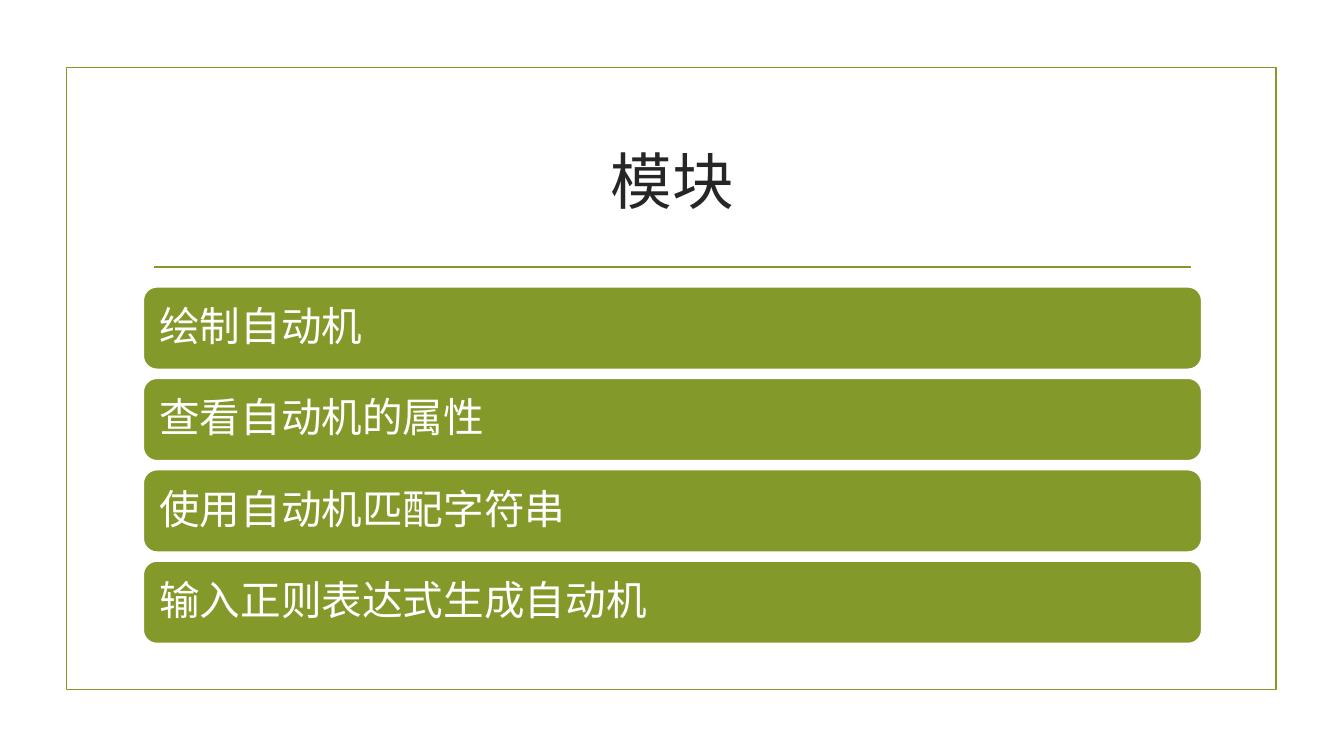
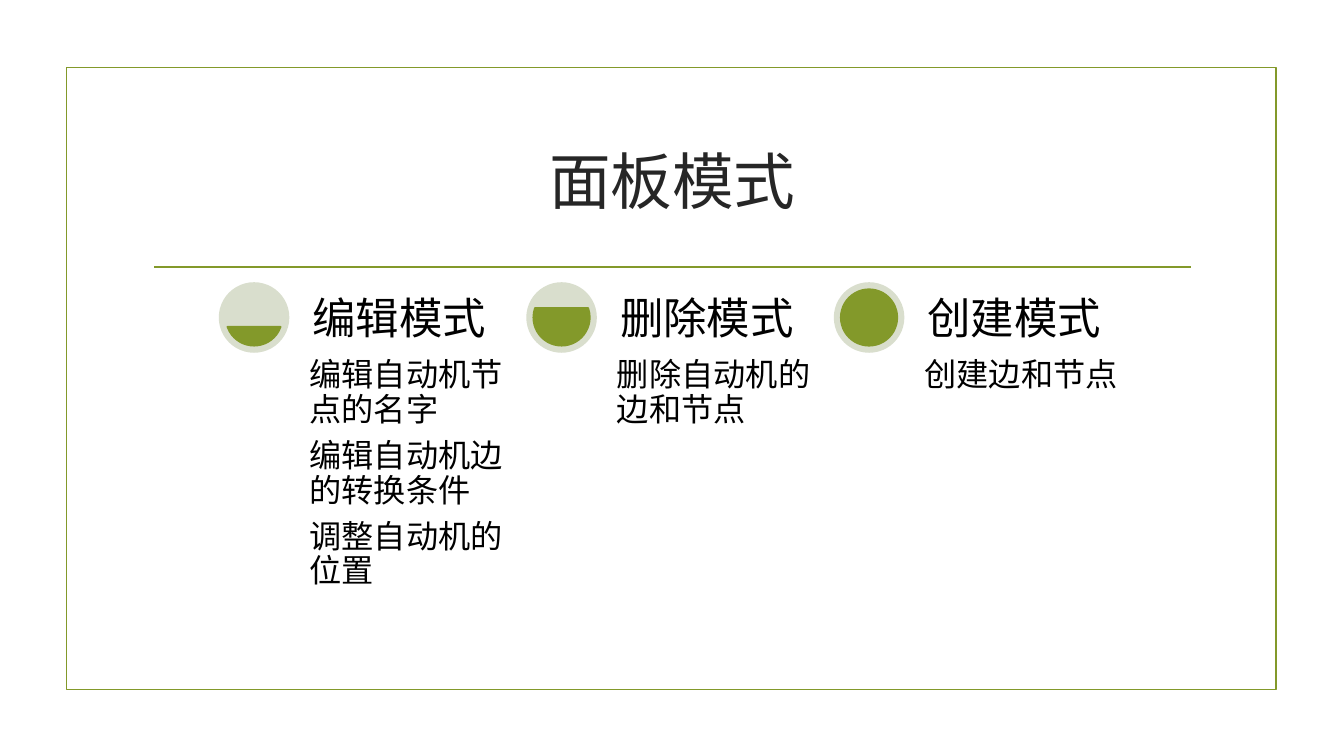
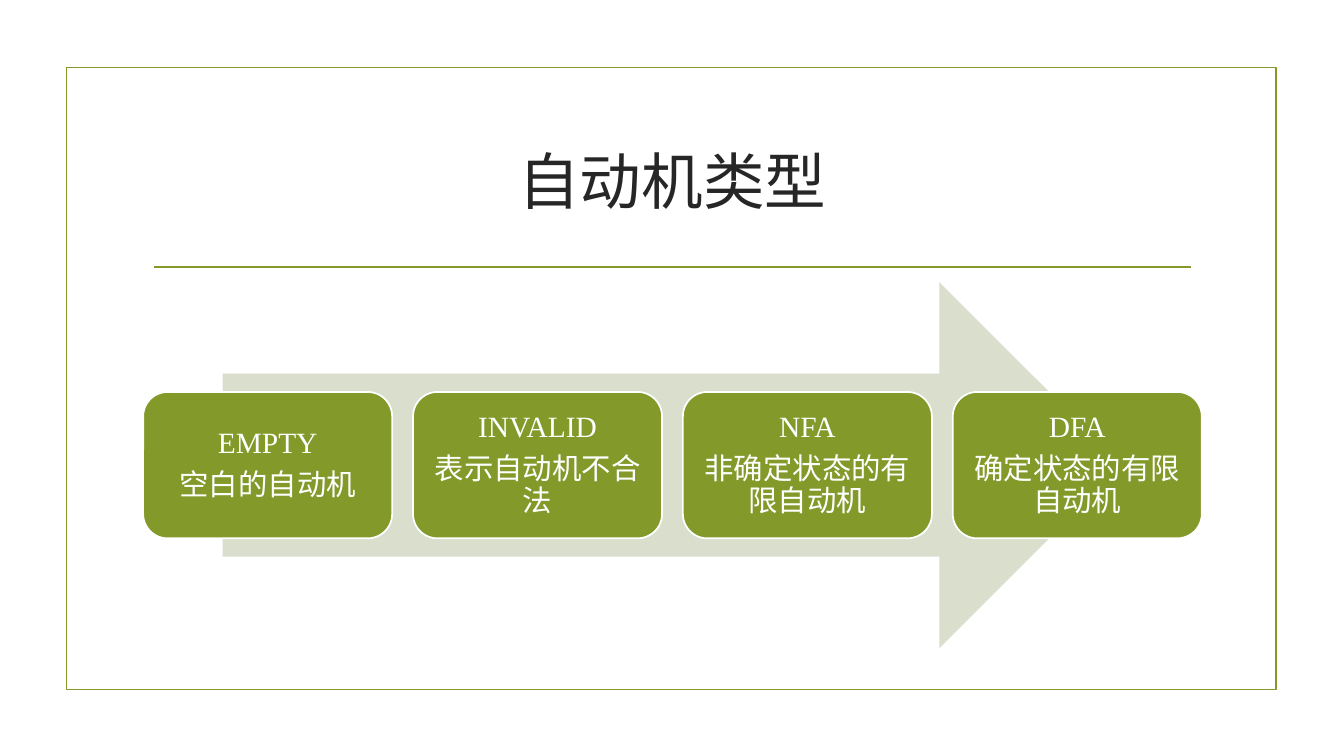
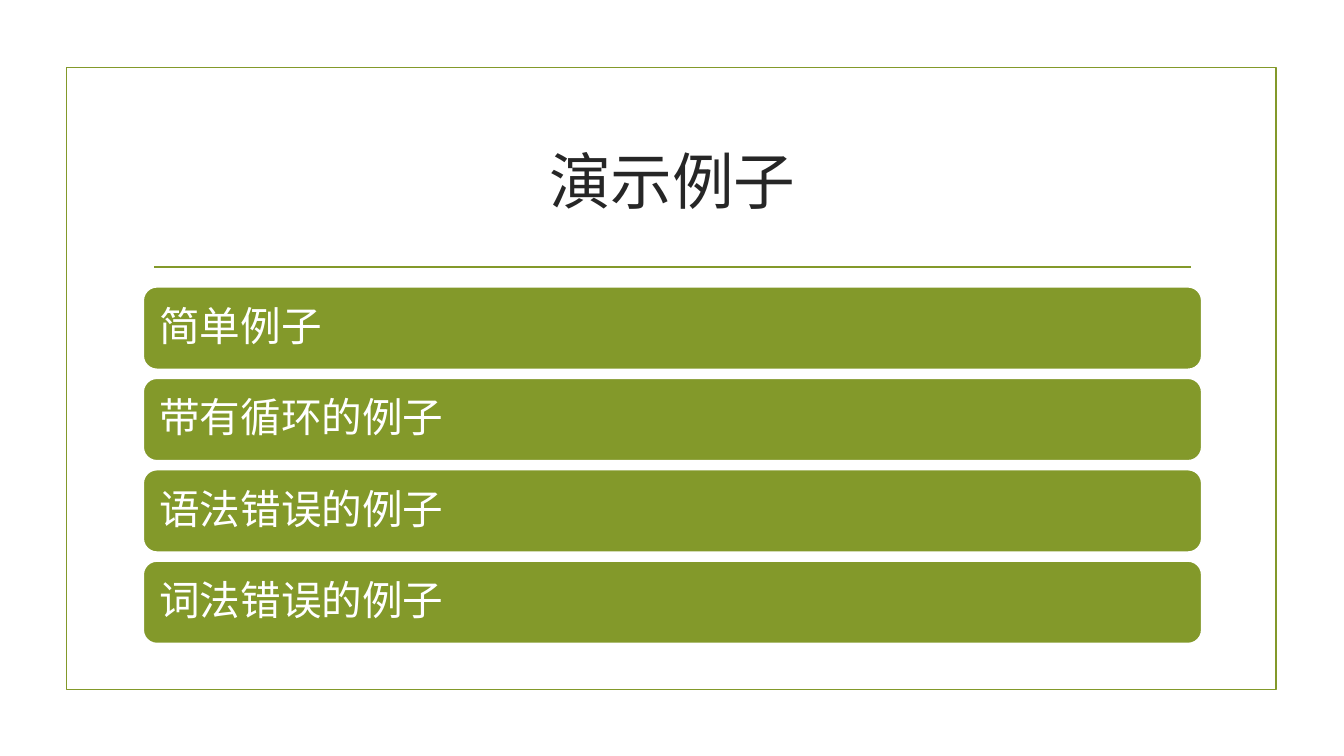
from dataclasses import dataclass
from math import asin, degrees

from lxml.etree import SubElement
from pptx import Presentation
from pptx.dml.color import RGBColor
from pptx.enum.lang import MSO_LANGUAGE_ID as Lang
from pptx.enum.shapes import MSO_CONNECTOR as Connector, MSO_SHAPE as Shape
from pptx.enum.text import MSO_ANCHOR as Anchor, PP_ALIGN as Align
from pptx.oxml.ns import qn
from pptx.util import Inches, Pt


# Colours and type sizes
@dataclass(frozen=True)
class Theme:
    font: str = "Times New Roman"
    green: str = "83992A"
    pale: str = "D9DECD"
    white: str = "FFFFFF"
    ink: str = "262626"
    black: str = "000000"
    title: int = 44
    heading: int = 31
    row: int = 29
    detail: int = 23
    stage: int = 21
    line: float = 1.25


THEME = Theme()


# Areas of the slide, in inches
@dataclass(frozen=True)
class Box:
    left: float
    top: float
    width: float
    height: float

    def emu(self):
        return [Inches(v) for v in (self.left, self.top, self.width, self.height)]

    def inset(self, dx, dy):
        return Box(self.left + dx, self.top + dy,
                   self.width - 2 * dx, self.height - 2 * dy)

    def columns(self, count, width):
        step = (self.width - width) / (count - 1)
        return [Box(self.left + i * step, self.top, width, self.height)
                for i in range(count)]

    def rows(self, count, height):
        step = (self.height - height) / (count - 1)
        return [Box(self.left, self.top + i * step, self.width, height)
                for i in range(count)]


FRAME = Box(0.66, 0.67, 12, 6.17)
TITLE = Box(1.42, 1.07, 10.5, 1.43)
CONTENT = Box(1.42, 2.8, 10.5, 3.63)
RULE_Y, RULE_INSET = 2.65, 0.11


# Elements
def write(frame, paragraphs, size, color, inset, align=Align.LEFT,
          anchor=Anchor.MIDDLE):
    frame.word_wrap = True
    frame.vertical_anchor = anchor
    frame.margin_left = frame.margin_right = Inches(inset)
    frame.margin_top = frame.margin_bottom = Inches(inset)
    frame.text = "\n".join(paragraphs)
    for paragraph in frame.paragraphs:
        paragraph.alignment = align
        paragraph.line_spacing = 0.9
        paragraph.space_after = Pt(0.35 * size)
        style_runs(paragraph, size, color)


def style_runs(paragraph, size, color):
    for run in paragraph.runs:
        run.font.name = THEME.font
        run.font.size = Pt(size)
        run.font.color.rgb = RGBColor.from_string(color)
        run.font.language_id = Lang.SIMPLIFIED_CHINESE


def add_figure(slide, kind, box, fill=None, line=None):
    figure = slide.shapes.add_shape(kind, *box.emu())
    figure.shadow.inherit = False
    for paint, color in ((figure.fill, fill), (figure.line.fill, line)):
        if color:
            paint.solid()
            paint.fore_color.rgb = RGBColor.from_string(color)
        else:
            paint.background()
    if line:
        figure.line.width = Pt(THEME.line)
    return figure


def add_card(slide, box, paragraphs, size, inset, align=Align.LEFT):
    card = add_figure(slide, Shape.ROUNDED_RECTANGLE, box, THEME.green, THEME.white)
    write(card.text_frame, paragraphs, size, THEME.white, inset, align)


def add_text(slide, box, paragraphs, size, inset, anchor):
    label = slide.shapes.add_textbox(*box.emu())
    write(label.text_frame, paragraphs, size, THEME.black, inset, anchor=anchor)


def add_gauge(slide, box, level):
    """Pale disc with a green disc inside, filled from below to a share."""
    add_figure(slide, Shape.OVAL, box, THEME.pale)
    filled = add_figure(slide, Shape.CHORD, box.inset(0.07, 0.07),
                        THEME.green, THEME.green)
    start = degrees(asin(1 - 2 * level))
    for i, angle in enumerate((start, 180 - start)):
        # Preset angles count 60000 to the degree
        filled.adjustments[i] = angle % 360 * 0.6


# Shared layout
def dress_layout(layout, slide):
    """Draw the frame and title rule, then hand them to the layout."""
    for placeholder in list(layout.placeholders):
        if placeholder.placeholder_format.idx:
            placeholder.element.getparent().remove(placeholder.element)
    title = layout.placeholders[0]
    title.left, title.top, title.width, title.height = TITLE.emu()

    frame = add_figure(slide, Shape.RECTANGLE, FRAME, line=THEME.green)
    left = TITLE.left + RULE_INSET
    right = TITLE.left + TITLE.width - RULE_INSET
    rule = slide.shapes.add_connector(
        Connector.STRAIGHT, Inches(left), Inches(RULE_Y),
        Inches(right), Inches(RULE_Y))
    rule.line.color.rgb = RGBColor.from_string(THEME.green)
    rule.line.width = Pt(THEME.line)
    SubElement(rule.element.spPr, qn("a:effectLst"))
    for part in (frame, rule):
        layout.shapes.element.append(part.element)


def add_titled_slide(deck, layout, heading):
    slide = deck.slides.add_slide(layout)
    title = slide.shapes.title
    title.text_frame.text = heading
    title.text_frame.vertical_anchor = Anchor.MIDDLE
    title.text_frame.paragraphs[0].alignment = Align.CENTER
    style_runs(title.text_frame.paragraphs[0], THEME.title, THEME.ink)
    return slide


# Kinds of content
def add_rows(slide, entries):
    area = CONTENT.inset(0, 0.045)
    for box, entry in zip(area.rows(len(entries), 0.82), entries):
        add_card(slide, box, [entry], THEME.row, 0.12)


def add_modes(slide, modes):
    disc, text_offset, text_width = 0.7, 0.84, 2.06
    columns = CONTENT.inset(0.75, 0).columns(len(modes), text_offset + text_width)
    for i, (column, (name, details)) in enumerate(zip(columns, modes), 1):
        add_gauge(slide, Box(column.left, column.top, disc, disc), i / len(modes))
        left = column.left + text_offset
        add_text(slide, Box(left, column.top + disc, text_width, column.height - disc),
                 details, THEME.detail, 0.06, Anchor.TOP)
        add_text(slide, Box(left, column.top, text_width, disc),
                 [name], THEME.heading, 0.09, Anchor.BOTTOM)


def add_stages(slide, stages):
    add_figure(slide, Shape.RIGHT_ARROW, CONTENT.inset(0.075 * CONTENT.width, 0),
               THEME.pale)
    band = CONTENT.inset(0, 0.3 * CONTENT.height)
    for box, stage in zip(band.columns(len(stages), 2.47), stages):
        add_card(slide, box, stage, THEME.stage, 0.09, Align.CENTER)


def main():
    deck = Presentation()
    deck.slide_width, deck.slide_height = Inches(13.33), Inches(7.5)
    layout = deck.slide_layouts.get_by_name("Title Only")

    # Modules
    modules = add_titled_slide(deck, layout, "模块")
    dress_layout(layout, modules)
    add_rows(modules, ["绘制自动机", "查看自动机的属性",
                       "使用自动机匹配字符串", "输入正则表达式生成自动机"])

    # Panel modes
    add_modes(add_titled_slide(deck, layout, "面板模式"), [
        ("编辑模式", ["编辑自动机节点的名字", "编辑自动机边的转换条件",
                  "调整自动机的位置"]),
        ("删除模式", ["删除自动机的边和节点"]),
        ("创建模式", ["创建边和节点"]),
    ])

    # Automaton types
    add_stages(add_titled_slide(deck, layout, "自动机类型"), [
        ("EMPTY", "空白的自动机"),
        ("INVALID", "表示自动机不合法"),
        ("NFA", "非确定状态的有限自动机"),
        ("DFA", "确定状态的有限自动机"),
    ])

    # Examples
    add_rows(add_titled_slide(deck, layout, "演示例子"),
             ["简单例子", "带有循环的例子", "语法错误的例子", "词法错误的例子"])

    deck.save("out.pptx")


if __name__ == "__main__":
    main()
